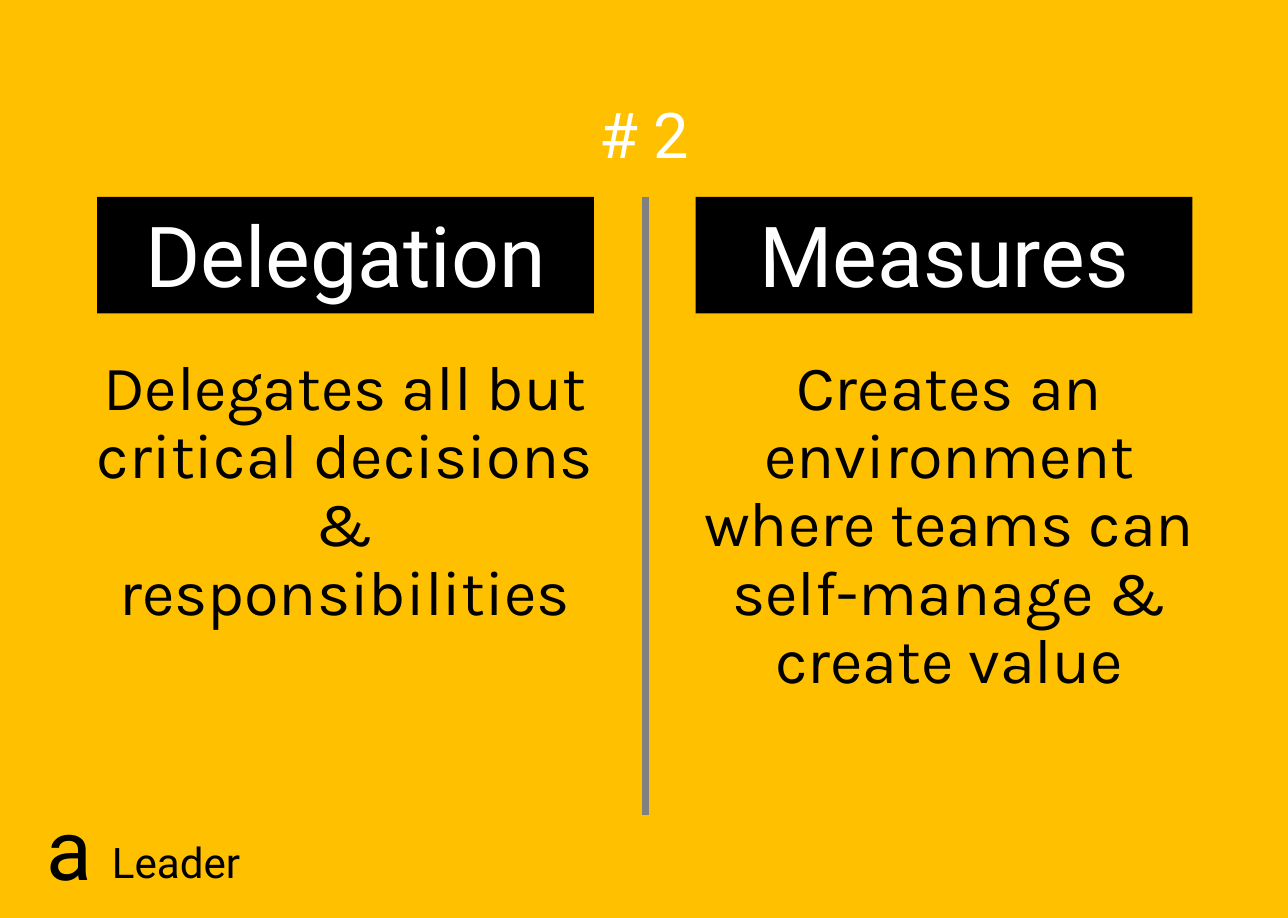
import pptx
import pptx.dml.color
import pptx.enum.shapes
import pptx.enum.text
import pptx.oxml.ns
import pptx.util
from lxml import etree

Inches = pptx.util.Inches
ANCHOR = pptx.enum.text.MSO_ANCHOR
ALIGN = pptx.enum.text.PP_ALIGN

BLACK, WHITE, GREY, AMBER = "000000", "FFFFFF", "808080", "FFC000"
HEADING_TOP, DIVIDER_X, DIVIDER_BOTTOM = 1.3, 4.26, 5.38
BODY_TOP = 2.19
BODY_HEIGHT = DIVIDER_BOTTOM - BODY_TOP

CENTRED = {"alignment": ALIGN.CENTER, "line_spacing": 0.9}
LEFT = {"alignment": ALIGN.LEFT}
TOP_INSET = {"margin_top": Inches(0.16)}

# heading, heading left, body text, body left, body width
COLUMNS = [
    ("Delegation", 0.64,
     "Delegates all but critical decisions & responsibilities", 0.5, 3.55),
    ("Measures", 4.59,
     "Creates an environment where teams can self-manage & create value", 4.46, 3.61),
]


def colour(hex_value):
    return pptx.dml.color.RGBColor.from_string(hex_value)


def apply_format(target, values):
    for name, value in values.items():
        setattr(target, name, value)


def write_text(shape, text, font_name, size, hex_value, paragraph_format, frame_format):
    frame = shape.text_frame
    apply_format(frame, {"word_wrap": True, **frame_format})
    paragraph = frame.paragraphs[0]
    apply_format(paragraph, paragraph_format)
    run = paragraph.add_run()
    run.text = text
    apply_format(run.font, {"name": font_name, "size": pptx.util.Pt(size)})
    run.font.color.rgb = colour(hex_value)


def add_label(slide, bounds, text, font_name, size, hex_value, paragraph_format, frame_format):
    label = slide.shapes.add_textbox(*map(Inches, bounds))
    write_text(label, text, font_name, size, hex_value, paragraph_format, frame_format)


def add_heading(slide, left, text):
    heading = slide.shapes.add_shape(
        pptx.enum.shapes.MSO_SHAPE.RECTANGLE,
        Inches(left), Inches(HEADING_TOP), Inches(3.28), Inches(0.77))
    heading.shadow.inherit = False
    heading.fill.solid()
    heading.fill.fore_color.rgb = colour(BLACK)
    heading.line.fill.background()
    write_text(heading, text, "Roboto", 40, WHITE, CENTRED,
               {"vertical_anchor": ANCHOR.BOTTOM})


def add_divider(slide):
    divider = slide.shapes.add_connector(
        pptx.enum.shapes.MSO_CONNECTOR.STRAIGHT,
        Inches(DIVIDER_X), Inches(HEADING_TOP), Inches(DIVIDER_X), Inches(DIVIDER_BOTTOM))
    divider.line.color.rgb = colour(GREY)
    divider.line.width = pptx.util.Pt(3)
    properties = divider._element.spPr
    etree.SubElement(properties, pptx.oxml.ns.qn("a:effectLst"))


def main():
    presentation = pptx.Presentation()
    presentation.slide_width = Inches(8.5)
    presentation.slide_height = Inches(6.06)
    slide = presentation.slides.add_slide(presentation.slide_layouts[6])
    slide.background.fill.solid()
    slide.background.fill.fore_color.rgb = colour(AMBER)

    add_divider(slide)
    for heading, heading_left, body, body_left, body_width in COLUMNS:
        add_label(slide, (body_left, BODY_TOP, body_width, BODY_HEIGHT),
                  body, "Karla", 30, BLACK, CENTRED, TOP_INSET)
        add_heading(slide, heading_left, heading)

    add_label(slide, (3.64, 0.53, 1.22, 0.77), "# 2", "Roboto", 30, WHITE, CENTRED, TOP_INSET)
    add_label(slide, (0.21, 5.21, 0.43, 0.77), "a", "Roboto", 40, BLACK, LEFT, {})
    add_label(slide, (0.64, 5.47, 1.8, 0.44), "Leader", "Roboto", 20, BLACK, LEFT, {})

    presentation.save("out.pptx")


if __name__ == "__main__":
    main()
